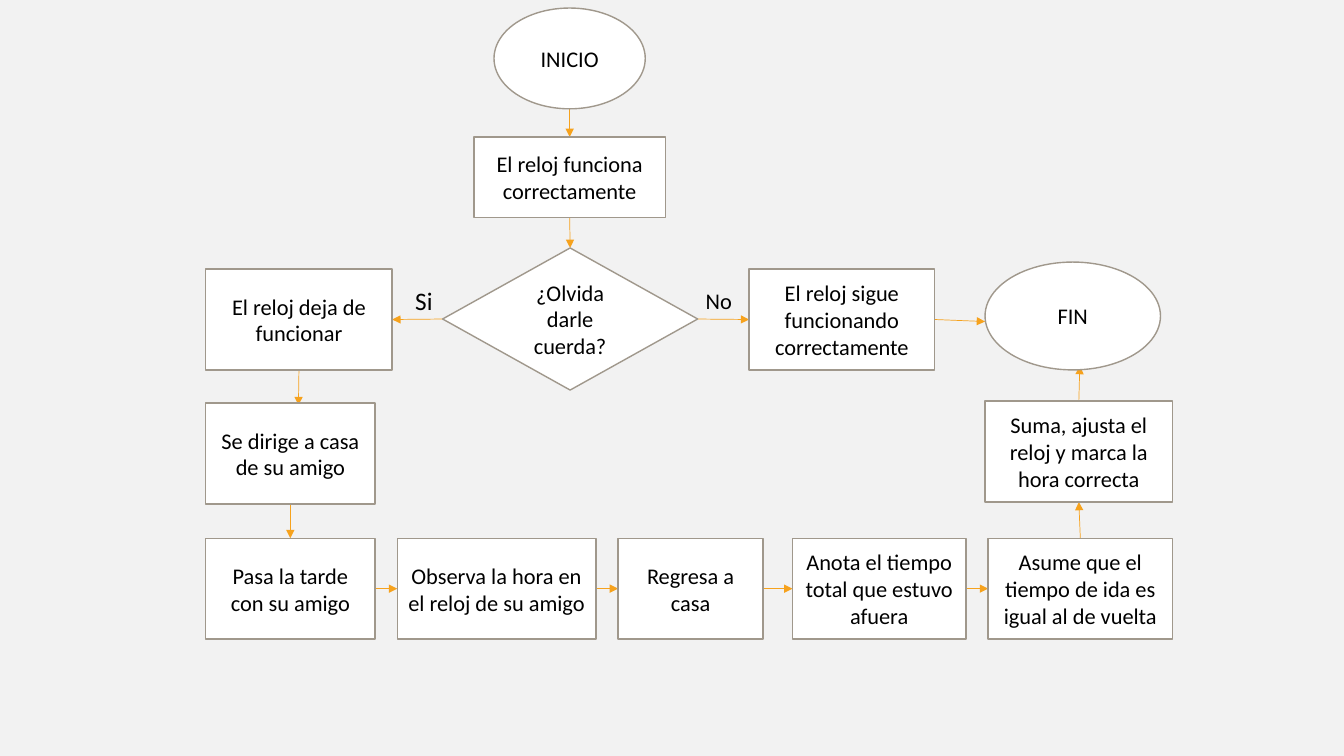
from dataclasses import dataclass
from typing import Union

import pptx
import pptx.dml.color
import pptx.enum.shapes
import pptx.enum.text
import pptx.oxml
import pptx.oxml.ns
import pptx.util

PX = 9144  # EMU per px, 100 px to the inch
TOP, LEFT, BOTTOM, RIGHT = range(4)
Kind = pptx.enum.shapes.MSO_SHAPE
Color = pptx.dml.color.RGBColor


@dataclass(frozen=True)
class Theme:
    font: str = "Calibri"
    background: Color = Color(0xF2, 0xF2, 0xF2)
    fill: Color = Color(0xFF, 0xFF, 0xFF)
    outline: Color = Color(0xA0, 0x98, 0x8C)
    arrow: Color = Color(0xF6, 0xA2, 0x1D)
    text: Color = Color(0, 0, 0)
    text_size: int = 16
    large_size: int = 18
    outline_width: float = 1
    arrow_width: float = 0.5


THEME = Theme()


@dataclass(frozen=True)
class Step:
    name: str
    text: str
    left: int
    top: int
    width: int
    height: int = 100
    kind: Kind = Kind.RECTANGLE


@dataclass(frozen=True)
class Label:
    text: str
    left: int
    top: int
    width: int
    height: int
    size: int
    wrap: bool


@dataclass(frozen=True)
class Joint:
    step: str
    side: int


@dataclass(frozen=True)
class Spot:
    x: int
    y: int


End = Union[Joint, Spot]


@dataclass(frozen=True)
class Arrow:
    start: End
    finish: End


ROW_TOP = 534
STEPS = [
    Step("deja", "El reloj deja de funcionar", 204, 267, 185),
    Step("dirige", "Se dirige a casa de su amigo", 204, 400, 168),
    Step("pasa", "Pasa la tarde con su amigo", 204, ROW_TOP, 168),
    Step("observa", "Observa la hora en el reloj de su amigo", 394, ROW_TOP, 197),
    Step("regresa", "Regresa a casa", 613, ROW_TOP, 144),
    Step("anota", "Anota el tiempo total que estuvo afuera", 786, ROW_TOP, 172),
    Step("asume", "Asume que el tiempo de ida es igual al de vuelta", 980, ROW_TOP, 183),
    Step("sigue", "El reloj sigue funcionando correctamente", 743, 267, 184),
    Step("suma", "Suma, ajusta el reloj y marca la hora correcta", 977, 398, 186),
    Step("inicio", "INICIO", 490, 8, 150, kind=Kind.OVAL),
    Step("funciona", "El reloj funciona correctamente", 470, 136, 190, 80),
    Step("olvida", "¿Olvida darle cuerda?", 439, 246, 253, 141, Kind.DIAMOND),
    Step("fin", "FIN", 977, 260, 174, 107, Kind.OVAL),
]
LABELS = [
    Label("No", 690, 280, 55, 37, THEME.text_size, True),
    Label("Si", 402, 278, 37, 40, THEME.large_size, False),
]
BOTTOM_ROW = [step.name for step in STEPS if step.top == ROW_TOP]
ARROWS = [
    Arrow(Spot(565, 98), Joint("funciona", TOP)),
    Arrow(Joint("funciona", BOTTOM), Joint("olvida", TOP)),
    Arrow(Joint("olvida", RIGHT), Joint("sigue", LEFT)),
    Arrow(Joint("olvida", LEFT), Joint("deja", RIGHT)),
    Arrow(Joint("deja", BOTTOM), Spot(296, 402)),
    Arrow(Joint("dirige", BOTTOM), Joint("pasa", TOP)),
    Arrow(Joint("asume", TOP), Joint("suma", BOTTOM)),
    Arrow(Joint("suma", TOP), Spot(1071, 363)),
    Arrow(Joint("sigue", RIGHT), Spot(977, 319)),
] + [
    Arrow(Joint(before, RIGHT), Joint(after, LEFT))
    for before, after in zip(BOTTOM_ROW, BOTTOM_ROW[1:])
]


def add_text(box, text: str, size: int) -> None:
    span = box.text_frame.paragraphs[0].add_run()
    span.text = text
    span.font.name = THEME.font
    span.font.size = pptx.util.Pt(size)
    span.font.color.rgb = THEME.text


def add_step(page, step: Step):
    box = page.shapes.add_shape(
        step.kind, step.left * PX, step.top * PX, step.width * PX, step.height * PX
    )
    box.shadow.inherit = False
    box.fill.solid()
    box.fill.fore_color.rgb = THEME.fill
    box.line.color.rgb = THEME.outline
    box.line.width = pptx.util.Pt(THEME.outline_width)
    box.text_frame.word_wrap = True
    box.text_frame.vertical_anchor = pptx.enum.text.MSO_ANCHOR.MIDDLE
    box.text_frame.paragraphs[0].alignment = pptx.enum.text.PP_ALIGN.CENTER
    add_text(box, step.text, THEME.text_size)
    return box


def add_label(page, label: Label) -> None:
    box = page.shapes.add_textbox(
        label.left * PX, label.top * PX, label.width * PX, label.height * PX
    )
    box.text_frame.word_wrap = label.wrap
    box.text_frame.auto_size = pptx.enum.text.MSO_AUTO_SIZE.SHAPE_TO_FIT_TEXT
    add_text(box, label.text, label.size)


def add_arrow(page, arrow: Arrow, boxes: dict) -> None:
    """Draw an arrow behind the steps, joined to them at its Joint ends."""
    line = page.shapes.add_connector(pptx.enum.shapes.MSO_CONNECTOR.STRAIGHT, 0, 0, 0, 0)
    if isinstance(arrow.start, Joint):
        line.begin_connect(boxes[arrow.start.step], arrow.start.side)
    else:
        line.begin_x, line.begin_y = arrow.start.x * PX, arrow.start.y * PX
    if isinstance(arrow.finish, Joint):
        line.end_connect(boxes[arrow.finish.step], arrow.finish.side)
    else:
        line.end_x, line.end_y = arrow.finish.x * PX, arrow.finish.y * PX
    line.line.color.rgb = THEME.arrow
    line.line.width = pptx.util.Pt(THEME.arrow_width)
    namespace = pptx.oxml.ns.nsdecls("a")
    outline = line.line._get_or_add_ln()
    outline.append(pptx.oxml.parse_xml(f'<a:tailEnd {namespace} type="triangle"/>'))
    properties = line.element.find(pptx.oxml.ns.qn("p:spPr"))
    properties.append(pptx.oxml.parse_xml(f"<a:effectLst {namespace}/>"))
    page.shapes.element.insert(2, line.element)


def main() -> None:
    deck = pptx.Presentation()
    deck.slide_width, deck.slide_height = 1333 * PX, 750 * PX
    page = deck.slides.add_slide(deck.slide_layouts[6])
    page.background.fill.solid()
    page.background.fill.fore_color.rgb = THEME.background
    for label in LABELS:
        add_label(page, label)
    boxes = {step.name: add_step(page, step) for step in STEPS}
    for arrow in ARROWS:
        add_arrow(page, arrow, boxes)
    deck.save("out.pptx")


if __name__ == "__main__":
    main()
